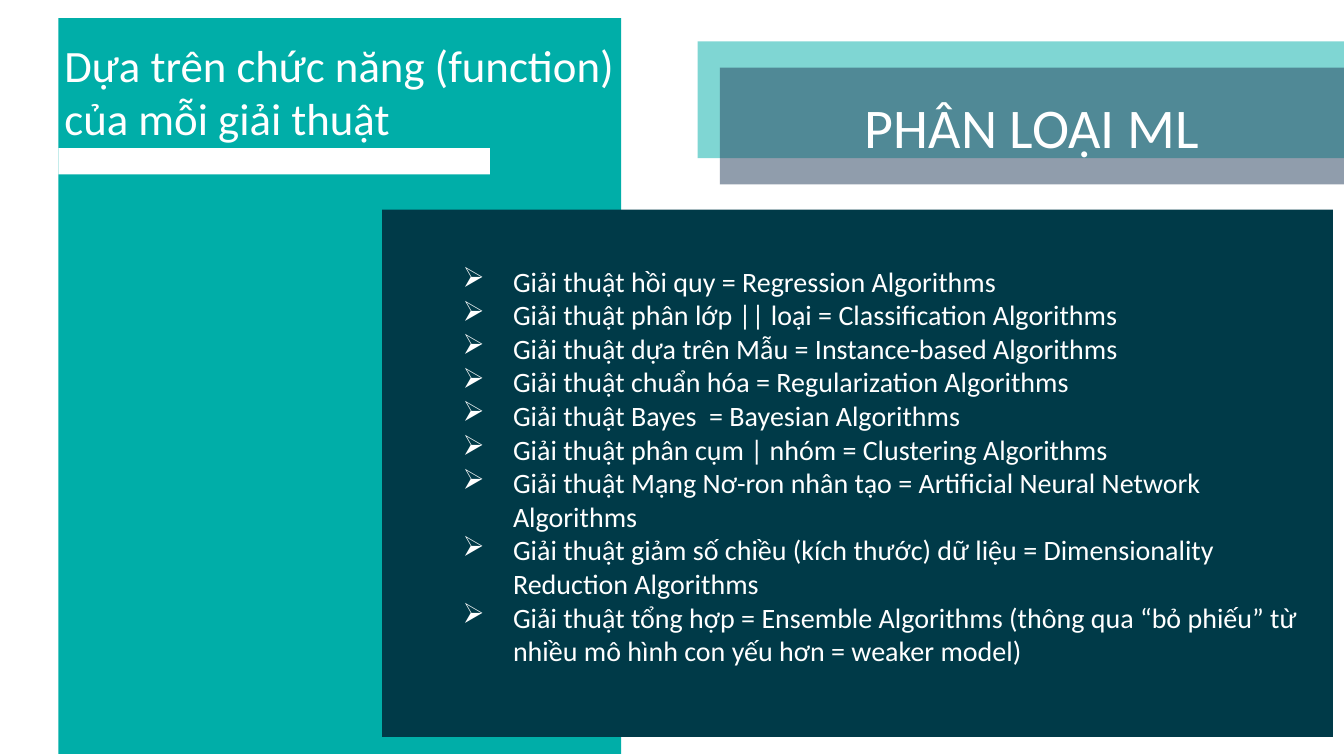
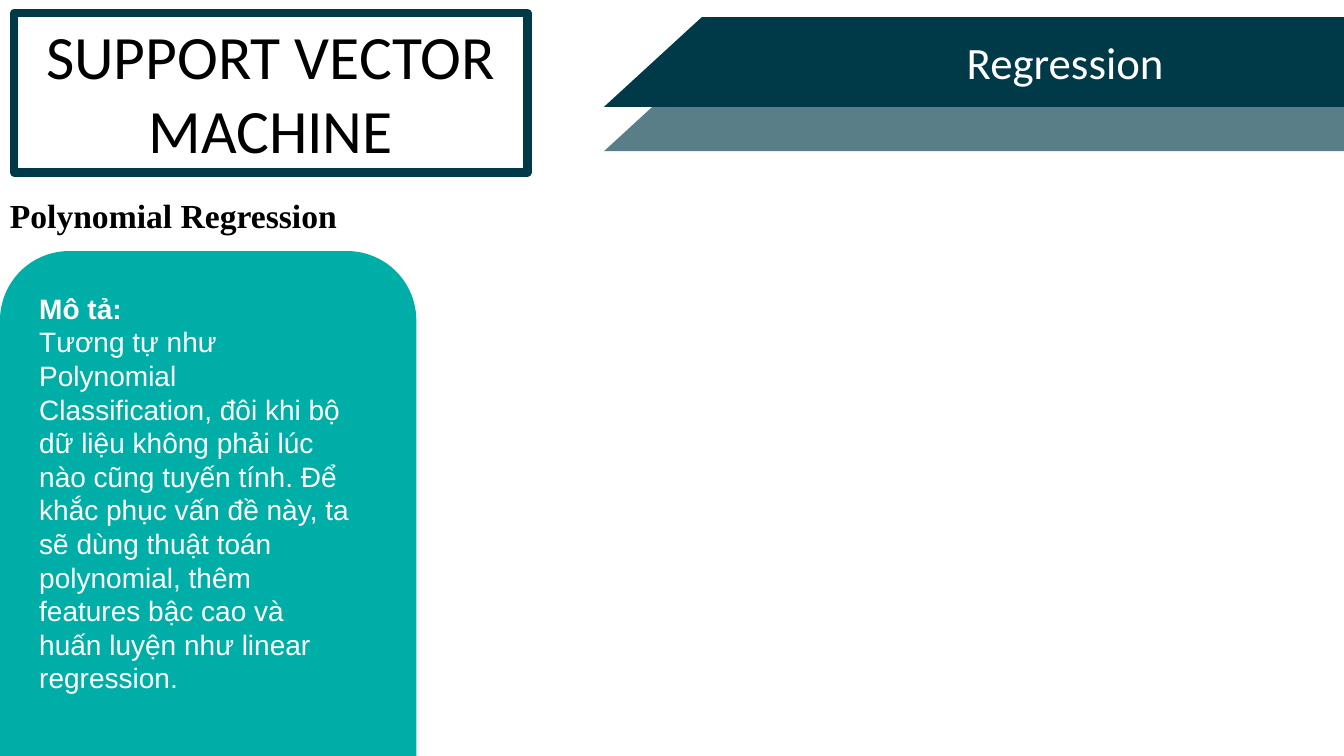
from lxml import etree
from pptx import Presentation
from pptx.dml.color import RGBColor
from pptx.enum.shapes import MSO_SHAPE as Shape
from pptx.enum.text import MSO_ANCHOR as Anchor, PP_ALIGN as Align
from pptx.oxml.ns import qn
from pptx.util import Inches, Pt

TEAL, NAVY, SLATE = "00AEA8", "003A48", "223D5A"
WHITE, BLACK = "FFFFFF", "000000"
BODY = {"name": "Calibri", "size": Pt(20)}
HEADING = {"name": "Calibri", "size": Pt(32)}


def add_panel(slide, box, fill=None, opacity=100, geometry=Shape.RECTANGLE):
    """Add an unlined shape; box is left, top, width, height in inches."""
    panel = slide.shapes.add_shape(geometry, *map(Inches, box))
    panel.shadow.inherit = False
    panel.line.fill.background()
    if fill is None:
        panel.fill.background()
        return panel
    panel.fill.solid()
    panel.fill.fore_color.rgb = RGBColor.from_string(fill)
    if opacity < 100:
        color = panel.fill._xPr.find(qn("a:solidFill"))[0]
        etree.SubElement(color, qn("a:alpha"), val=str(opacity * 1000))
    return panel


def write(holder, lines, font, color=WHITE, align=Align.LEFT, anchor=Anchor.TOP):
    """Fill a shape or text box with one paragraph per line."""
    frame = holder.text_frame
    frame.word_wrap = True
    frame.vertical_anchor = anchor
    frame.text = "\n".join(lines)
    for paragraph in frame.paragraphs:
        paragraph.alignment = align
        for key, value in font.items():
            setattr(paragraph.runs[0].font, key, value)
        paragraph.runs[0].font.color.rgb = RGBColor.from_string(color)
    return frame.paragraphs


deck = Presentation()
deck.slide_width, deck.slide_height = Inches(13.33), Inches(7.5)
blank = deck.slide_layouts[6]

# Slide 1: kinds of machine learning
kinds = deck.slides.add_slide(blank)
add_panel(kinds, (0.58, 0.18, 5.58, 7.3), TEAL)
add_panel(kinds, (0.58, 1.47, 4.28, 0.26), WHITE)
add_panel(kinds, (6.92, 0.41, 6.41, 1.16), TEAL, 50)
banner = add_panel(kinds, (7.14, 0.67, 6.19, 1.16), SLATE, 50)
write(banner, ["PHÂN LOẠI ML"], {**HEADING, "size": Pt(40)},
      align=Align.CENTER, anchor=Anchor.MIDDLE)
add_panel(kinds, (3.79, 2.08, 9.43, 5.23), NAVY)

criterion = kinds.shapes.add_textbox(*map(Inches, (0.54, 0.32, 6.01, 1.18)))
write(criterion, ["Dựa trên chức năng (function) của mỗi giải thuật"], HEADING)

algorithms = [
    "Giải thuật hồi quy = Regression Algorithms",
    "Giải thuật phân lớp || loại = Classification Algorithms",
    "Giải thuật dựa trên Mẫu = Instance-based Algorithms",
    "Giải thuật chuẩn hóa = Regularization Algorithms",
    "Giải thuật Bayes  = Bayesian Algorithms",
    "Giải thuật phân cụm | nhóm = Clustering Algorithms",
    "Giải thuật Mạng Nơ-ron nhân tạo = Artificial Neural Network Algorithms",
    "Giải thuật giảm số chiều (kích thước) dữ liệu = Dimensionality Reduction Algorithms",
    "Giải thuật tổng hợp = Ensemble Algorithms (thông qua “bỏ phiếu” từ nhiều mô hình "
    "con yếu hơn = weaker model)",
]
algorithm_list = kinds.shapes.add_textbox(*map(Inches, (2.99, 2.57, 10.24, 4.38)))
for item in write(algorithm_list, algorithms, BODY):
    properties = item._p.get_or_add_pPr()
    properties.set("marL", str(Inches(2)))
    properties.set("indent", str(Inches(-0.5)))
    etree.SubElement(properties, qn("a:buChar"), char="➢")

# Slide 2: polynomial regression
regression = deck.slides.add_slide(blank)
for top, opacity in ((0.61, 65), (0.17, 100)):
    ribbon = add_panel(regression, (5.99, top, 9.15, 0.89), NAVY, opacity,
                       Shape.PARALLELOGRAM)
    ribbon.adjustments[0] = 1.09
write(ribbon, ["Regression"], HEADING, align=Align.CENTER, anchor=Anchor.MIDDLE)

method = add_panel(regression, (0.14, 0.13, 5.09, 1.58))
method.line.color.rgb = RGBColor.from_string(NAVY)
method.line.width = Pt(6)
write(method, ["SUPPORT VECTOR MACHINE"], {**HEADING, "size": Pt(44)},
      BLACK, Align.CENTER)

topic = regression.shapes.add_textbox(*map(Inches, (0, 1.68, 4.64, 0.64)))
topic_font = {"name": "Times New Roman", "size": Pt(24), "bold": True}
write(topic, ["Polynomial Regression"], topic_font, BLACK,
      Align.JUSTIFY)[0].line_spacing = 1.5

add_panel(regression, (0, 2.49, 4.13, 5.91), TEAL, geometry=Shape.ROUNDED_RECTANGLE)
description = regression.shapes.add_textbox(*map(Inches, (0.29, 2.84, 3.29, 4.14)))
label, _ = write(description, [
    "Mô tả:",
    "Tương tự như Polynomial Classification, đôi khi bộ dữ liệu không phải lúc nào "
    "cũng tuyến tính. Để khắc phục vấn đề này, ta sẽ dùng thuật toán polynomial, "
    "thêm features bậc cao và huấn luyện như linear regression.",
], {**BODY, "name": "Arial"})
label.runs[0].font.bold = True

deck.save("out.pptx")
